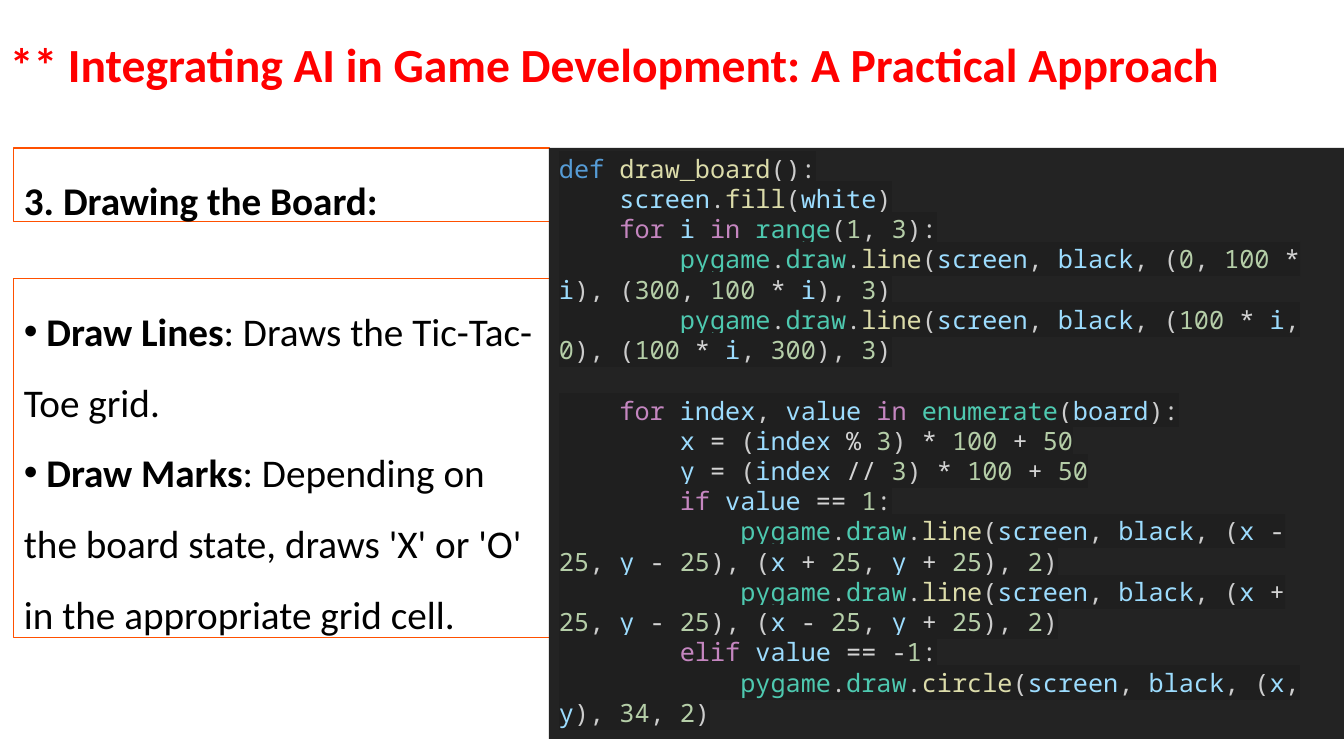
from itertools import groupby

from lxml import etree
from pptx import Presentation
from pptx.dml.color import RGBColor
from pptx.enum.text import MSO_ANCHOR, MSO_AUTO_SIZE
from pptx.oxml.ns import qn
from pptx.util import Pt

TOP, MIDDLE = MSO_ANCHOR.TOP, MSO_ANCHOR.MIDDLE
FIXED, GROW = MSO_AUTO_SIZE.NONE, MSO_AUTO_SIZE.SHAPE_TO_FIT_TEXT

TITLE = "** Integrating AI in Game Development: A Practical Approach"
HEADING = "3. Drawing the Board:"
STEPS = [
    ("Draw Lines", ": Draws the Tic-Tac-Toe grid."),
    ("Draw Marks", ": Depending on the board state, draws 'X' or 'O' "
                   "in the appropriate grid cell."),
]
# A line that starts with a break shows an empty code line above it.
CODE = [
    "def draw_board():",
    "    screen.fill(white)",
    "    for i in range(1, 3):",
    "        pygame.draw.line(screen, black, (0, 100 * i), (300, 100 * i), 3)",
    "        pygame.draw.line(screen, black, (100 * i, 0), (100 * i, 300), 3)",
    "\n    for index, value in enumerate(board):",
    "        x = (index % 3) * 100 + 50",
    "        y = (index // 3) * 100 + 50",
    "        if value == 1:",
    "            pygame.draw.line(screen, black, (x - 25, y - 25), (x + 25, y + 25), 2)",
    "            pygame.draw.line(screen, black, (x + 25, y - 25), (x - 25, y + 25), 2)",
    "        elif value == -1:",
    "            pygame.draw.circle(screen, black, (x, y), 34, 2)",
]
WORD_KINDS = {
    "definition": {"def"},
    "keyword": {"for", "in", "if", "elif"},
    "function": {"draw_board", "fill", "line", "circle"},
    "library": {"pygame", "draw", "range", "enumerate"},
}

THEME = {
    "text_font": "Calibri", "code_font": "Noto Sans Mono",
    "title_size": 34, "body_size": 28, "code_size": 18,
    "title": "FF0000", "body": "000000", "border": "FF5000",
    "code_panel": "232323", "highlight": "1F1F1F",
    "definition": "569CD6", "keyword": "C586C0", "function": "DCDCAA",
    "library": "4EC9B0", "variable": "9CDCFE", "number": "B5CEA8",
    "operator": "D4D4D4", "punctuation": "CCCCCC",
}

PX = 914400 / 100.8
SLIDE_W, SLIDE_H = 1344, 756
LEFT, CONTENT_TOP, CODE_LEFT = 14, 148, 549
LEFT_W = CODE_LEFT - LEFT + 1


def px(length):
    return round(length * PX)


def color(role):
    return RGBColor.from_string(THEME[role])


def add_panel(slide, box, border=None, fill=None, anchor=TOP, auto_size=GROW):
    panel = slide.shapes.add_textbox(*map(px, box))
    if border:
        panel.line.color.rgb = color(border)
        panel.line.width = Pt(0.75)
    if fill:
        panel.fill.solid()
        panel.fill.fore_color.rgb = color(fill)
    frame_format = {"word_wrap": True, "vertical_anchor": anchor, "auto_size": auto_size}
    for name, value in frame_format.items():
        setattr(panel.text_frame, name, value)
    return panel.text_frame


def paragraphs(frame, count):
    return [frame.paragraphs[0]] + [frame.add_paragraph() for _ in range(count - 1)]


def add_run(paragraph, text, role, font, size, bold=False):
    run = paragraph.add_run()
    run.text = text
    for name, value in {"name": font, "size": Pt(size), "bold": bold}.items():
        setattr(run.font, name, value)
    run.font.color.rgb = color(role)
    return run


def add_text(paragraph, text, role="body", bold=True):
    add_run(paragraph, text, role, THEME["text_font"], THEME[role + "_size"], bold)


def add_bullet(paragraph):
    properties = paragraph._p.get_or_add_pPr()
    properties.set("marL", "0")
    properties.set("indent", "0")
    etree.SubElement(properties, qn("a:buFont")).set("typeface", "Arial")
    etree.SubElement(properties, qn("a:buChar")).set("char", "•")


def char_class(char):
    if char.isalnum() or char == "_":
        return "word"
    return "operator" if char in "=+-*/%" else "punctuation"


def token_role(token, kind):
    """Name the theme colour of one code token."""
    if kind != "word":
        return kind
    if token.isdigit():
        return "number"
    return next((role for role, words in WORD_KINDS.items() if token in words), "variable")


def add_code_line(paragraph, line):
    if line.startswith("\n"):
        paragraph.add_line_break()
    for kind, chars in groupby(line.lstrip("\n"), char_class):
        token = "".join(chars)
        run = add_run(paragraph, token, token_role(token, kind),
                      THEME["code_font"], THEME["code_size"])
        highlight = etree.Element(qn("a:highlight"))
        etree.SubElement(highlight, qn("a:srgbClr")).set("val", THEME["highlight"])
        run.font._element.find(qn("a:solidFill")).addnext(highlight)


def main():
    deck = Presentation()
    deck.slide_width, deck.slide_height = px(SLIDE_W), px(SLIDE_H)
    slide = deck.slides.add_slide(deck.slide_layouts[6])

    title = add_panel(slide, (0, 0, 1337, 134), anchor=MIDDLE, auto_size=FIXED).paragraphs[0]
    title.line_spacing = 0.9
    add_text(title, TITLE, "title")

    heading = add_panel(slide, (LEFT, CONTENT_TOP, LEFT_W, 74), border="border").paragraphs[0]
    heading.line_spacing = 1.5
    add_text(heading, HEADING)

    steps = add_panel(slide, (LEFT, 279, LEFT_W, 359), border="border")
    for paragraph, (name, detail) in zip(paragraphs(steps, len(STEPS)), STEPS):
        add_bullet(paragraph)
        paragraph.line_spacing = 1.5
        add_text(paragraph, " " + name)
        add_text(paragraph, detail, bold=False)

    code = add_panel(slide, (CODE_LEFT, CONTENT_TOP, SLIDE_W - CODE_LEFT, 591), fill="code_panel")
    for paragraph, line in zip(paragraphs(code, len(CODE)), CODE):
        add_code_line(paragraph, line)

    deck.save("out.pptx")


if __name__ == "__main__":
    main()
